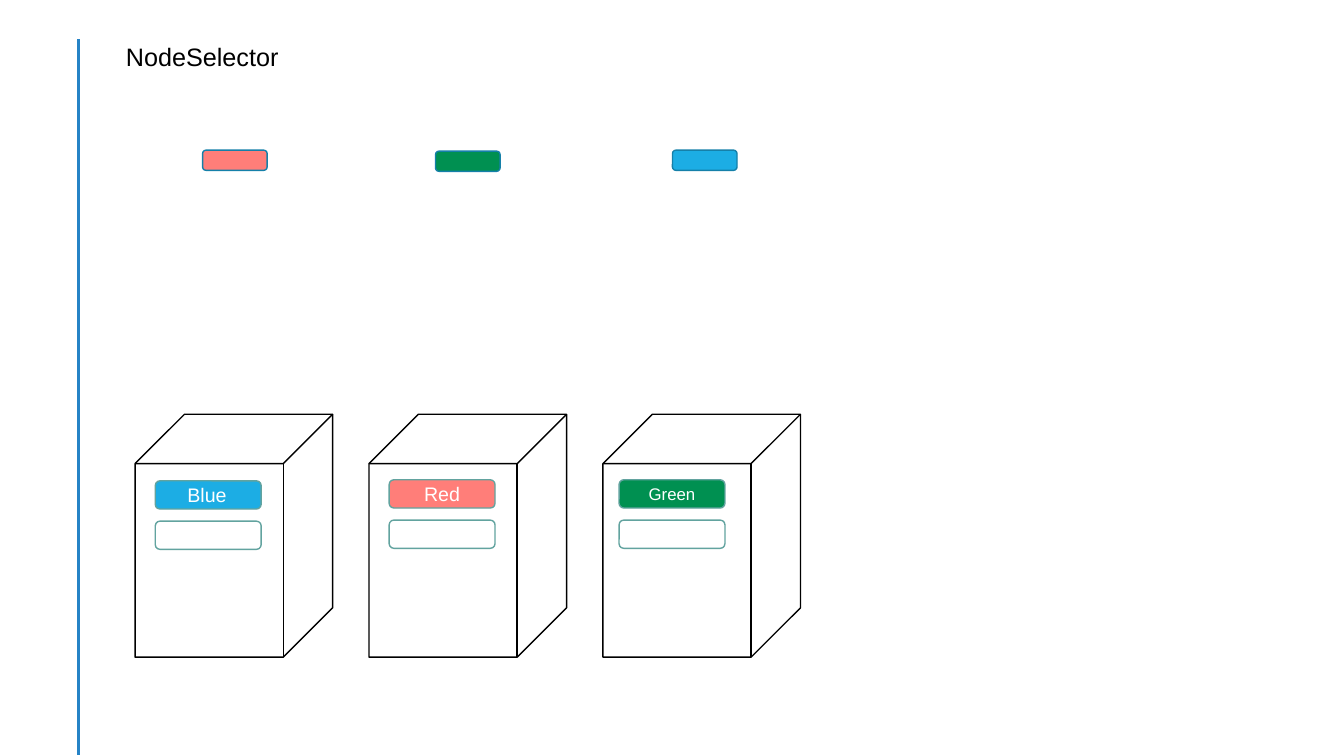
from dataclasses import dataclass

from lxml import etree
from pptx import Presentation
from pptx.dml.color import RGBColor
from pptx.enum.shapes import MSO_CONNECTOR, MSO_SHAPE
from pptx.enum.text import MSO_ANCHOR, MSO_AUTO_SIZE, PP_ALIGN
from pptx.oxml.ns import qn
from pptx.util import Emu, Inches, Pt

CUBE = MSO_SHAPE.CUBE
ROUND = MSO_SHAPE.ROUNDED_RECTANGLE
STRAIGHT = MSO_CONNECTOR.STRAIGHT
MIDDLE = MSO_ANCHOR.MIDDLE
CENTER = PP_ALIGN.CENTER
GROW = MSO_AUTO_SIZE.SHAPE_TO_FIT_TEXT

CELL = 0.1
FIRST, PITCH = 13.4, 23.2
TAG_STEP = 4

BLUE, RED, GREEN = "1CADE4", "FF7E79", "009051"
WHITE, BLACK = "FFFFFF", "000000"
TEAL, NAVY, RULE = "62A39F", "1580A9", "2683C6"


@dataclass
class Area:
    col: float
    row: float
    wide: float
    high: float


@dataclass
class Node:
    fill: str
    inset: float
    row: float
    text: str = ""
    size: int = 14


@dataclass
class Pod:
    fill: str
    col: float
    row: float


@dataclass
class Label:
    text: str
    area: Area
    size: int
    ink: str


NODES = [
    Node(BLUE, 2, 47.7),
    Node(RED, 2, 47.6, "Red"),
    Node(GREEN, 1.6, 47.6, "Green", 12),
]
PODS = [Pod(RED, 20.1, 14.9), Pod(GREEN, 43.2, 15), Pod(BLUE, 66.7, 14.9)]
LABELS = [
    Label("Blue", Area(17.6, 47.4, 6.2, 3.4), 14, WHITE),
    Label("NodeSelector", Area(11.5, 3.6, 18.3, 4), 18, BLACK),
]


def tint(code: str) -> RGBColor:
    return RGBColor.from_string(code)


def cells(count: float) -> Emu:
    return Inches(count * CELL)


def place(area: Area) -> list[Emu]:
    return [cells(n) for n in (area.col, area.row, area.wide, area.high)]


def write(frame, text: str, size: int, ink: str) -> None:
    font = frame.paragraphs[0].add_run().font
    frame.paragraphs[0].runs[0].text = text
    for name, value in {"name": "Arial", "size": Pt(size)}.items():
        setattr(font, name, value)
    font.color.rgb = tint(ink)


def draw_shape(slide, kind, area: Area, line: str, fill: str = ""):
    shape = slide.shapes.add_shape(kind, *place(area))
    shape.shadow.inherit = False
    if fill:
        shape.fill.solid()
        shape.fill.fore_color.rgb = tint(fill)
    else:
        shape.fill.background()
    shape.line.color.rgb = tint(line)
    shape.line.width = Pt(1)
    return shape


def draw_node(slide, index: int, node: Node) -> None:
    left = FIRST + index * PITCH
    draw_shape(slide, CUBE, Area(left, 41.1, 19.6, 24.1), BLACK)
    for step, fill in enumerate((node.fill, WHITE)):
        area = Area(left + node.inset, node.row + step * TAG_STEP, 10.5, 2.8)
        tag = draw_shape(slide, ROUND, area, TEAL, fill)
        if node.text and step == 0:
            frame = tag.text_frame
            frame.vertical_anchor = MIDDLE
            frame.paragraphs[0].alignment = CENTER
            write(frame, node.text, node.size, WHITE)


def draw_label(slide, label: Label) -> None:
    frame = slide.shapes.add_textbox(*place(label.area)).text_frame
    for name, value in {"word_wrap": False, "auto_size": GROW}.items():
        setattr(frame, name, value)
    write(frame, label.text, label.size, label.ink)


def draw_rule(slide) -> None:
    ends = [cells(n) for n in (7.8, 3.9, 7.8, 74.9)]
    rule = slide.shapes.add_connector(STRAIGHT, *ends)
    rule.line.color.rgb = tint(RULE)
    rule.line.width = Pt(2)
    etree.SubElement(rule._element.spPr, qn("a:effectLst"))


def main() -> None:
    deck = Presentation()
    deck.slide_width, deck.slide_height = Inches(13.33), Inches(7.5)
    slide = deck.slides.add_slide(deck.slide_layouts[6])
    draw_rule(slide)
    for index, node in enumerate(NODES):
        draw_node(slide, index, node)
    for label in LABELS:
        draw_label(slide, label)
    for pod in PODS:
        draw_shape(slide, ROUND, Area(pod.col, pod.row, 6.4, 2), NAVY, pod.fill)
    deck.save("out.pptx")


if __name__ == "__main__":
    main()
